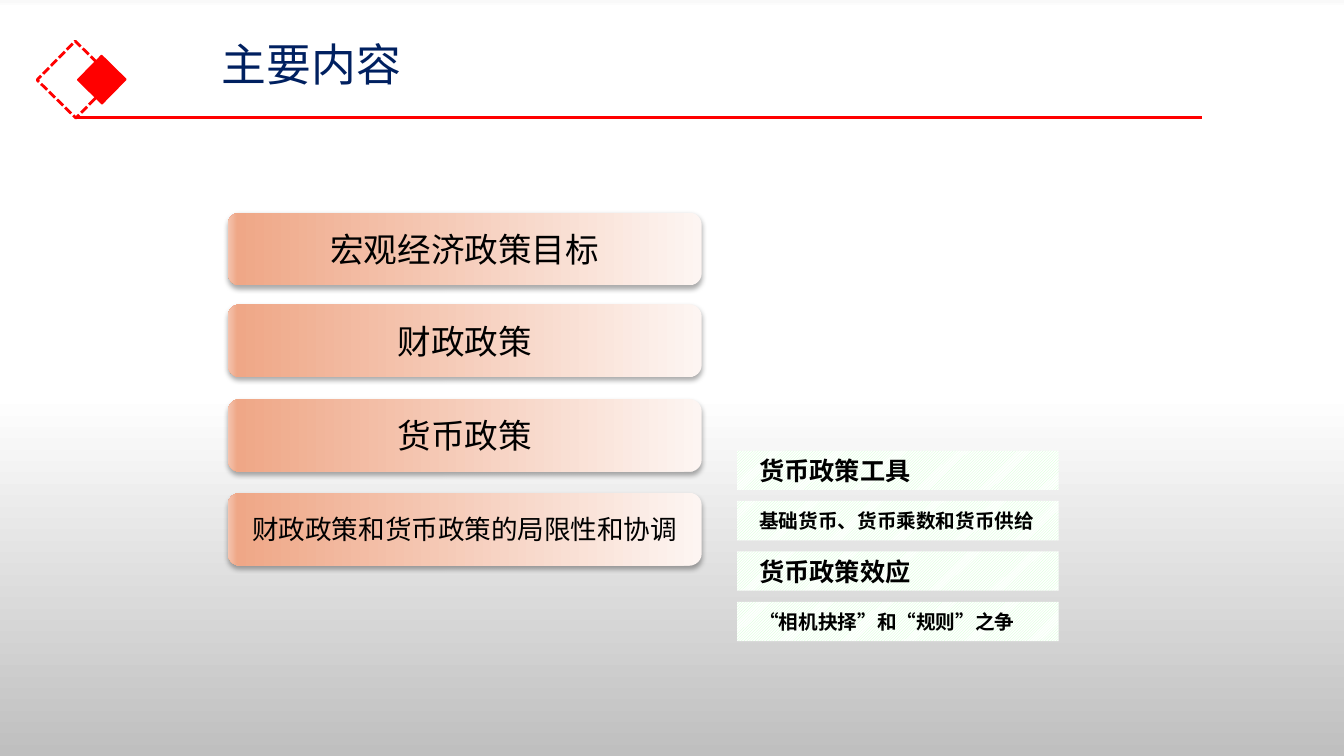
from lxml import etree
from pptx import Presentation
from pptx import util as u
from pptx.dml.color import RGBColor
from pptx.enum import dml, shapes, text
from pptx.oxml.ns import qn

Inches = u.Inches
COLORS = {
    "red": "FF0000", "navy": "002060", "black": "000000", "white": "FFFFFF",
    "mint": "CCFFCC", "mist": "F9F9F9", "grey": "BFBFBF",
    "cream": "FDF5F2", "salmon": "EFA787", "peach": "F4C4AF",
}
CJK = "Noto Sans CJK SC"
CARD_STOPS = [(0, "cream"), (98, "salmon"), (100, "peach")]
PAGE_STOPS = [(0, "mist"), (1, "white"), (52, "white"), (100, "grey")]
CARDS = [
    (2.11, "宏观经济政策目标", 24),
    (3.02, "财政政策", 24),
    (3.96, "货币政策", 24),
    (4.89, "财政政策和货币政策的局限性和协调", 19),
]
TOPICS = [
    ("货币政策工具", 18),
    ("基础货币、货币乘数和货币供给", 14),
    ("货币政策效应", 18),
    ("“相机抉择”和“规则”之争", 14),
]


def rgb(name):
    return RGBColor.from_string(COLORS[name])


def sub(parent, tag, **attrs):
    return etree.SubElement(parent, qn(tag), {k: str(v) for k, v in attrs.items()})


def set_gradient(fill, element, stops, angle):
    """Fill with any number of stops; angle runs counter-clockwise."""
    fill.gradient()
    fill.gradient_angle = angle
    stop_list = element.find(".//" + qn("a:gsLst"))
    for old in list(stop_list):
        stop_list.remove(old)
    for position, color in stops:
        stop = sub(stop_list, "a:gs", pos=position * 1000)
        sub(stop, "a:srgbClr", val=COLORS[color])


def add_shadow(sp):
    effects = sp._element.spPr.find(qn("a:effectLst"))
    shadow = sub(effects, "a:outerShdw", blurRad=u.Pt(3.5), dist=u.Pt(2.2),
                 dir=5400000, algn="ctr", rotWithShape=0)
    color = sub(shadow, "a:srgbClr", val=COLORS["black"])
    sub(color, "a:alpha", val=32000)


def write(sp, words, size, font=CJK, color="black", bold=False,
          align=text.PP_ALIGN.LEFT, anchor=text.MSO_ANCHOR.MIDDLE,
          side=0.1, edge=0.05, spacing=None):
    tf = sp.text_frame
    tf.word_wrap = True
    tf.vertical_anchor = anchor
    tf.margin_left = tf.margin_right = Inches(side)
    tf.margin_top = tf.margin_bottom = Inches(edge)
    p = tf.paragraphs[0]
    p.alignment = align
    p.line_spacing = spacing
    r = p.add_run()
    r.text = words
    r.font.size = u.Pt(size)
    r.font.bold = bold
    r.font.name = font
    r.font.color.rgb = rgb(color)
    sub(r.font._element, "a:ea", typeface=CJK)


def add_box(s, kind, left, top, width, height):
    sp = s.shapes.add_shape(kind, Inches(left), Inches(top),
                            Inches(width), Inches(height))
    sp.shadow.inherit = False
    sp.line.fill.background()
    return sp


def add_diamond(s, left, top, side, line_width):
    """Square turned onto its corner, with a red outline and no fill."""
    sp = add_box(s, shapes.MSO_SHAPE.RECTANGLE, left, top, side, side)
    sp.rotation = 314.5
    sp.fill.background()
    sp.line.color.rgb = rgb("red")
    sp.line.width = u.Pt(line_width)
    return sp


def add_header(s):
    outline = add_diamond(s, 0.48, 0.52, 0.54, 2)
    outline.line.dash_style = dml.MSO_LINE.SQUARE_DOT
    solid = add_diamond(s, 0.84, 0.62, 0.34, 1)
    solid.fill.solid()
    solid.fill.fore_color.rgb = rgb("red")

    rule = s.shapes.add_connector(shapes.MSO_CONNECTOR.STRAIGHT, Inches(0.75),
                                  Inches(1.17), Inches(11.92), Inches(1.17))
    rule.line.color.rgb = rgb("red")
    rule.line.width = u.Pt(2.25)
    sub(rule._element.spPr, "a:effectLst")

    title = s.shapes.add_textbox(Inches(2.1), Inches(0.42), Inches(11.2), Inches(1.08))
    write(title, "主要内容", 32, color="navy", anchor=text.MSO_ANCHOR.TOP,
          edge=0, spacing=0.9)


def add_card(s, top, words, size):
    sp = add_box(s, shapes.MSO_SHAPE.ROUNDED_RECTANGLE, 2.26, top, 4.7, 0.72)
    set_gradient(sp.fill, sp._element, CARD_STOPS, 180)
    add_shadow(sp)
    write(sp, words, size, align=text.PP_ALIGN.CENTER)


def add_topic(s, top, words, size):
    sp = add_box(s, shapes.MSO_SHAPE.RECTANGLE, 7.31, top, 3.19, 0.39)
    sp.fill.patterned()
    sp.fill.pattern = dml.MSO_PATTERN.LIGHT_UPWARD_DIAGONAL
    sp.fill.fore_color.rgb = rgb("mint")
    sp.fill.back_color.rgb = rgb("white")
    write(sp, words, size, font="Calibri", bold=True,
          align=text.PP_ALIGN.JUSTIFY, side=0.22)


def main():
    prs = Presentation()
    prs.slide_width, prs.slide_height = Inches(13.33), Inches(7.5)
    s = prs.slides.add_slide(prs.slide_layouts[6])
    set_gradient(s.background.fill, s._element, PAGE_STOPS, 270)
    add_header(s)
    for top, words, size in CARDS:
        add_card(s, top, words, size)
    for i, (words, size) in enumerate(TOPICS):
        add_topic(s, 4.47 + 0.5 * i, words, size)
    prs.save("out.pptx")


if __name__ == "__main__":
    main()
